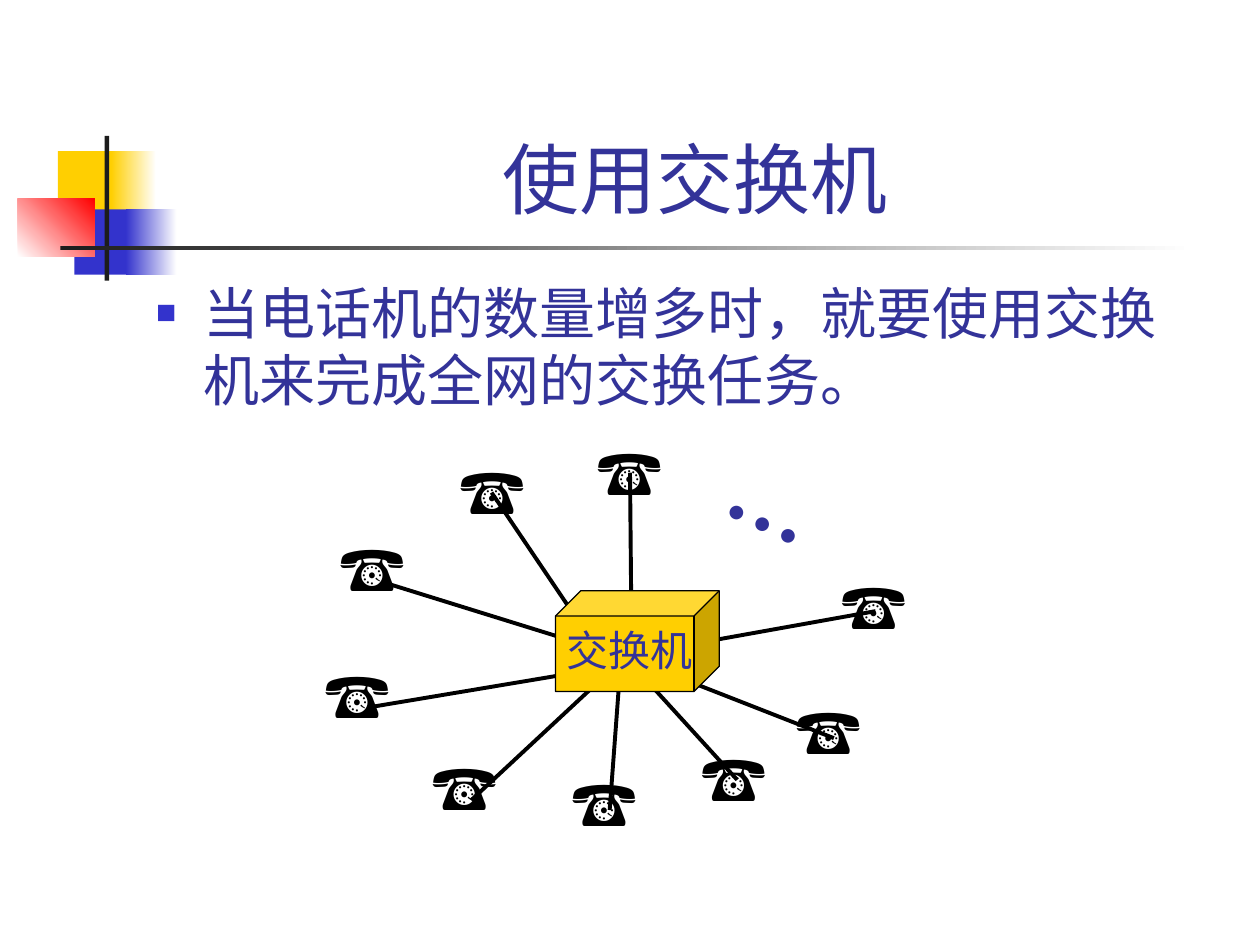
from lxml import etree
from pptx import Presentation
from pptx import util as u
from pptx.dml.color import RGBColor
from pptx.enum import shapes, text
from pptx.oxml.ns import qn

NAVY, BLUE, GOLD = "333399", "3333CC", "FFCF01"
RED, DARK, WHITE, BLACK = "FF0000", "1C1C1C", "FFFFFF", "000000"

# left, top, width, height in cm, then one colour or the two ends of a gradient
DECORATION = [
    (1.17, 3.05, 1.22, 1.32, GOLD),
    (2.24, 3.05, 0.91, 1.32, GOLD, WHITE),
    (1.5, 4.22, 1.17, 1.32, BLUE),
    (2.54, 4.22, 1.02, 1.32, BLUE, WHITE),
    (0.36, 4.01, 1.55, 1.17, WHITE, RED, 45),
    (2.11, 2.74, 0.09, 2.92, DARK),
    (1.22, 4.95, 22.86, 0.09, DARK, WHITE),
]

# Each layer: lines (x1, y1, x2, y2), then the phones (left, top) above them
NETWORK = [
    ([(16.81, 14.88, 13.31, 13.51), (12.29, 16.33, 12.5, 13.51),
      (7.49, 14.25, 11.91, 13.51), (9.91, 9.93, 11.61, 12.45)],
     [(11.79, 8.59), (6.6, 10.52), (8.46, 14.94), (16.71, 11.3),
      (13.89, 14.76)]),
    ([(12.73, 12.73, 12.7, 9.53), (13.69, 13.03, 17.65, 12.32),
      (7.7, 11.73, 11.79, 13), (9.5, 16.13, 12.09, 13.72),
      (14.86, 15.72, 12.5, 13.13)],
     [(6.3, 13.08), (9.02, 8.97), (11.28, 15.27), (15.8, 13.82)]),
]


def rgb(value):
    return RGBColor.from_string(value)


def cm(*values):
    return [u.Cm(value) for value in values]


def add_block(slide, left, top, width, height, start, end=None, angle=0):
    """Add a borderless rectangle, plain or with a linear gradient."""
    block = slide.shapes.add_shape(shapes.MSO_SHAPE.RECTANGLE,
                                   *cm(left, top, width, height))
    block.shadow.inherit = False
    block.line.fill.background()
    if end is None:
        block.fill.solid()
        block.fill.fore_color.rgb = rgb(start)
        return
    block.fill.gradient()
    block.fill.gradient_angle = angle
    for stop, color in zip(block.fill.gradient_stops, (start, end)):
        stop.color.rgb = rgb(color)


def add_text(slide, box, content, size, font="Times New Roman", color=NAVY,
             bold=False):
    """Add a one-run text box whose text may reach its right edge."""
    shape = slide.shapes.add_textbox(*cm(*box))
    frame = shape.text_frame
    frame.word_wrap = True
    frame.margin_right = 0
    run = frame.paragraphs[0].add_run()
    run.text = content
    run.font.size = u.Pt(size)
    run.font.name = font
    run.font.bold = bold
    run.font.color.rgb = rgb(color)
    return shape


def add_title(slide, content):
    frame = add_text(slide, (3.2, 0.58, 21.64, 4.06), content, 44,
                     "Arial").text_frame
    frame.margin_right = frame.margin_left
    frame.vertical_anchor = text.MSO_ANCHOR.BOTTOM
    frame.paragraphs[0].alignment = text.PP_ALIGN.CENTER


def add_bullet_text(slide, content):
    frame = add_text(slide, (2.9, 5.49, 21.59, 11.43), content, 32,
                     "Arial").text_frame
    frame.margin_right = frame.margin_left
    paragraph = frame.paragraphs[0]
    paragraph.space_before = u.Pt(6.4)
    properties = paragraph._p.get_or_add_pPr()
    indent = u.Cm(0.96)
    properties.set("marL", str(indent))
    properties.set("indent", str(-indent))
    color = etree.SubElement(properties, qn("a:buClr"))
    etree.SubElement(color, qn("a:srgbClr"), val=BLUE)
    etree.SubElement(properties, qn("a:buSzPct"), val="60000")
    etree.SubElement(properties, qn("a:buFont"), typeface="Arial")
    etree.SubElement(properties, qn("a:buChar"), char="■")


def add_line(slide, *ends):
    line = slide.shapes.add_connector(shapes.MSO_CONNECTOR.STRAIGHT, *cm(*ends))
    line.line.color.rgb = rgb(BLACK)
    line.line.width = u.Pt(2.25)
    etree.SubElement(line._element.spPr, qn("a:effectLst"))


def add_phone(slide, left, top):
    add_text(slide, (left, top, 2.21, 1.78), "☎", 36, color=BLACK)


def add_switch(slide):
    cube = slide.shapes.add_shape(shapes.MSO_SHAPE.CUBE,
                                  *cm(11.2, 11.91, 3.3, 2.03))
    cube.shadow.inherit = False
    cube.adjustments[0] = 0.25
    cube.fill.solid()
    cube.fill.fore_color.rgb = rgb(GOLD)
    cube.line.color.rgb = rgb(BLACK)
    cube.line.width = u.Pt(0.75)
    add_text(slide, (11.18, 12.47, 3.05, 1.27), "交换机", 24)


def main():
    presentation = Presentation()
    presentation.slide_width, presentation.slide_height = cm(25.4, 19.05)
    slide = presentation.slides.add_slide(presentation.slide_layouts[6])
    for block in DECORATION:
        add_block(slide, *block)
    add_title(slide, "使用交换机")
    add_bullet_text(slide, "当电话机的数量增多时，就要使用交换机来完成全网的交换任务。")
    dots = add_text(slide, (14.5, 8.92, 2.21, 2.29), "…", 48, bold=True)
    dots.rotation = 24.3
    for lines, phones in NETWORK:
        for ends in lines:
            add_line(slide, *ends)
        for position in phones:
            add_phone(slide, *position)
    add_switch(slide)
    presentation.save("out.pptx")


if __name__ == "__main__":
    main()
